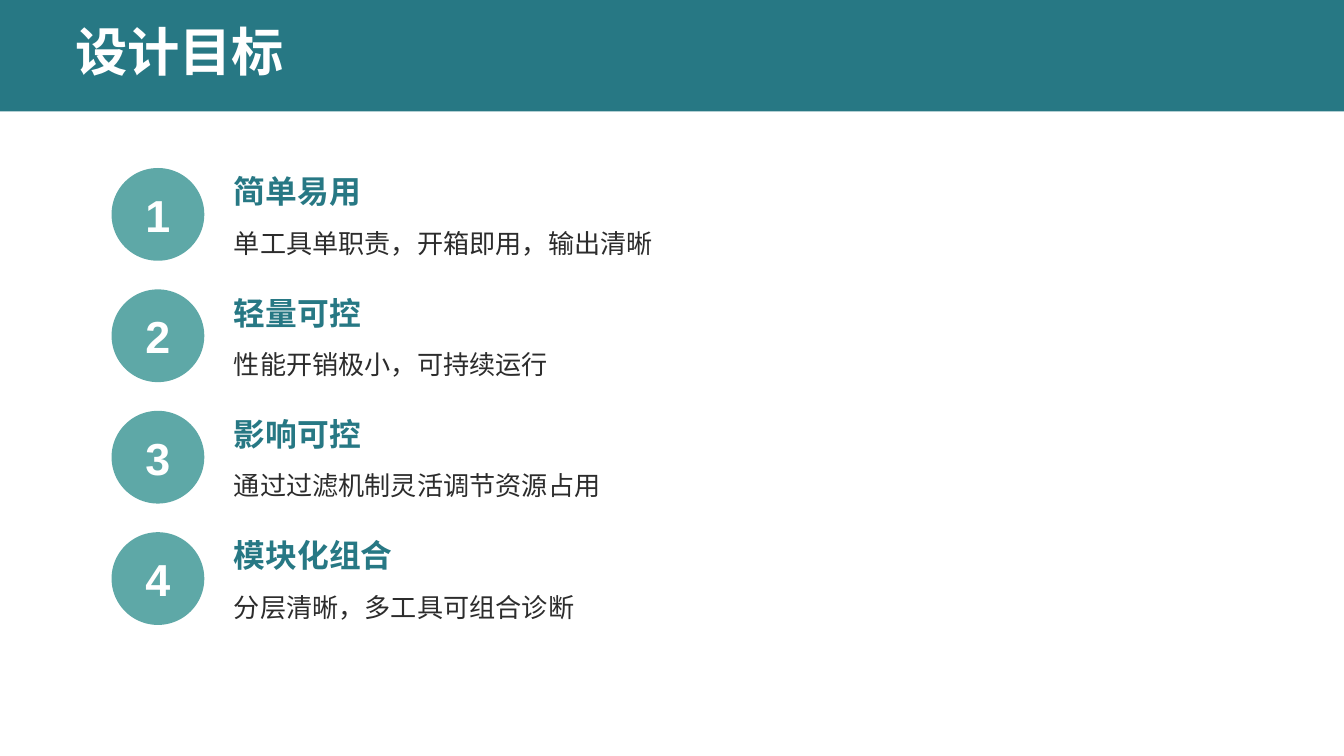
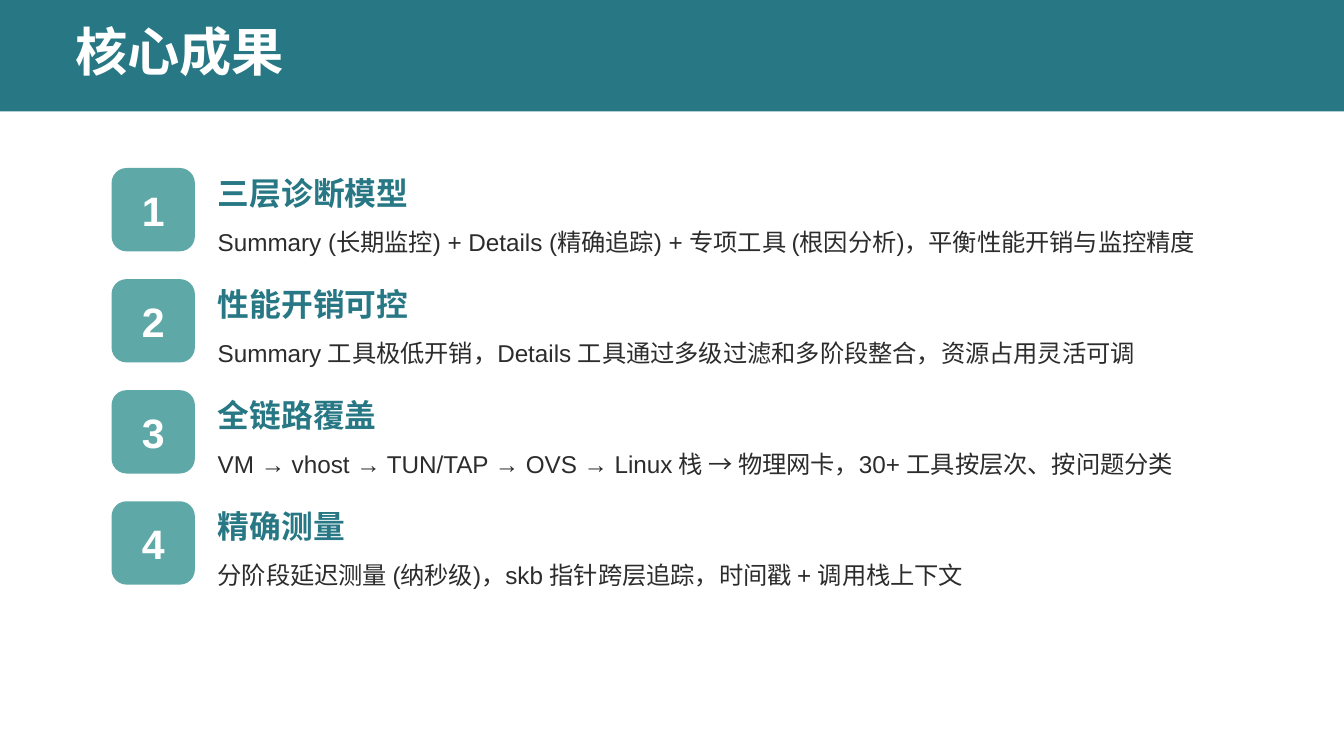
from dataclasses import dataclass

from pptx import Presentation
from pptx.dml.color import RGBColor
from pptx.enum.shapes import MSO_SHAPE as Shape
from pptx.enum.text import MSO_ANCHOR as Anchor, MSO_AUTO_SIZE as AutoSize, PP_ALIGN as Align
from pptx.util import Inches, Pt


@dataclass(frozen=True)
class Theme:
    font: str = "Arial"
    dark: RGBColor = RGBColor(0x27, 0x78, 0x84)
    light: RGBColor = RGBColor(0x5E, 0xA8, 0xA7)
    ink: RGBColor = RGBColor(0x2C, 0x2C, 0x2C)
    white: RGBColor = RGBColor(0xFF, 0xFF, 0xFF)
    title_size: float = 28
    heading_size: float = 17


@dataclass(frozen=True)
class ListStyle:
    """Measures of a numbered list: lengths in inches, type in points."""
    last_top: float
    badge: float
    corner: float
    number_size: float
    text_left: float
    text_width: float
    heading_drop: float
    heading_after: float
    detail_drop: float
    detail_height: float
    detail_size: float
    line_spacing: float


THEME = Theme()
SLIDE_WIDTH = 10
SLIDE_HEIGHT = SLIDE_WIDTH * 9 / 16
BAND_HEIGHT = 0.83
LIST_LEFT, LIST_TOP = 0.83, 1.25
TITLE_ONLY = 5

GOALS_STYLE = ListStyle(
    last_top=3.96, badge=0.69, corner=0.5, number_size=24,
    text_left=1.74, text_width=7.58, heading_drop=0.03, heading_after=4,
    detail_drop=0.42, detail_height=0.25, detail_size=14, line_spacing=18.2)
RESULTS_STYLE = ListStyle(
    last_top=3.73, badge=0.62, corner=0.18, number_size=22,
    text_left=1.62, text_width=7.69, heading_drop=0.04, heading_after=5,
    detail_drop=0.44, detail_height=0.22, detail_size=13, line_spacing=15.6)

GOALS = [
    ("简单易用", "单工具单职责，开箱即用，输出清晰"),
    ("轻量可控", "性能开销极小，可持续运行"),
    ("影响可控", "通过过滤机制灵活调节资源占用"),
    ("模块化组合", "分层清晰，多工具可组合诊断"),
]
RESULTS = [
    ("三层诊断模型",
     "Summary (长期监控) + Details (精确追踪) + 专项工具 (根因分析)，平衡性能开销与监控精度"),
    ("性能开销可控",
     "Summary 工具极低开销，Details 工具通过多级过滤和多阶段整合，资源占用灵活可调"),
    ("全链路覆盖",
     "VM → vhost → TUN/TAP → OVS → Linux 栈 → 物理网卡，30+ 工具按层次、按问题分类"),
    ("精确测量",
     "分阶段延迟测量 (纳秒级)，skb 指针跨层追踪，时间戳 + 调用栈上下文"),
]


def write(box, text, size, color, bold=False, align=Align.LEFT, anchor=Anchor.TOP, wrap=True):
    """Fill a shape's frame with one run, without insets, and return its paragraph."""
    frame = box.text_frame
    frame.margin_left = frame.margin_right = frame.margin_top = frame.margin_bottom = 0
    frame.auto_size = AutoSize.NONE
    frame.word_wrap = wrap
    frame.vertical_anchor = anchor
    para = frame.paragraphs[0]
    para.alignment = align
    span = para.add_run()
    span.text = text
    span.font.name = THEME.font
    span.font.size = Pt(size)
    span.font.bold = bold
    span.font.color.rgb = color
    return para


def add_filled(page, kind, left, top, width, height, color):
    shape = page.shapes.add_shape(
        kind, Inches(left), Inches(top), Inches(width), Inches(height))
    shape.fill.solid()
    shape.fill.fore_color.rgb = color
    shape.line.fill.background()
    shape.shadow.inherit = False
    return shape


def add_text(page, left, top, width, height, text, size, color, bold=False):
    box = page.shapes.add_textbox(Inches(left), Inches(top), Inches(width), Inches(height))
    return write(box, text, size, color, bold)


def add_page(deck, title_text):
    """Add a slide with the title on its colour band."""
    page = deck.slides.add_slide(deck.slide_layouts[TITLE_ONLY])
    title = page.shapes.title
    band = add_filled(page, Shape.RECTANGLE, 0, 0, SLIDE_WIDTH, BAND_HEIGHT, THEME.dark)
    title.element.addprevious(band.element)  # keeps the band behind the title
    title.left, title.top = Inches(0.56), Inches(0.14)
    title.width, title.height = Inches(1.59), Inches(0.55)
    write(title, title_text, THEME.title_size, THEME.white, bold=True, wrap=False)
    return page


def add_badge(page, number, top, style):
    badge = add_filled(page, Shape.ROUNDED_RECTANGLE, LIST_LEFT, top,
                       style.badge, style.badge, THEME.light)
    badge.adjustments[0] = style.corner
    write(badge, str(number), style.number_size, THEME.white, bold=True,
          align=Align.CENTER, anchor=Anchor.MIDDLE)


def add_numbered_list(page, items, style):
    """Spread the items evenly from the list's top to the style's last row."""
    pitch = (style.last_top - LIST_TOP) / (len(items) - 1)
    for index, (heading, detail) in enumerate(items):
        top = LIST_TOP + index * pitch
        add_badge(page, index + 1, top, style)
        para = add_text(page, style.text_left, top + style.heading_drop, style.text_width,
                        0.33, heading, THEME.heading_size, THEME.dark, bold=True)
        para.space_after = Pt(style.heading_after)
        para = add_text(page, style.text_left, top + style.detail_drop, style.text_width,
                        style.detail_height, detail, style.detail_size, THEME.ink)
        para.line_spacing = Pt(style.line_spacing)


def main():
    deck = Presentation()
    deck.slide_width, deck.slide_height = Inches(SLIDE_WIDTH), Inches(SLIDE_HEIGHT)
    add_numbered_list(add_page(deck, "设计目标"), GOALS, GOALS_STYLE)
    add_numbered_list(add_page(deck, "核心成果"), RESULTS, RESULTS_STYLE)
    deck.save("out.pptx")


if __name__ == "__main__":
    main()
